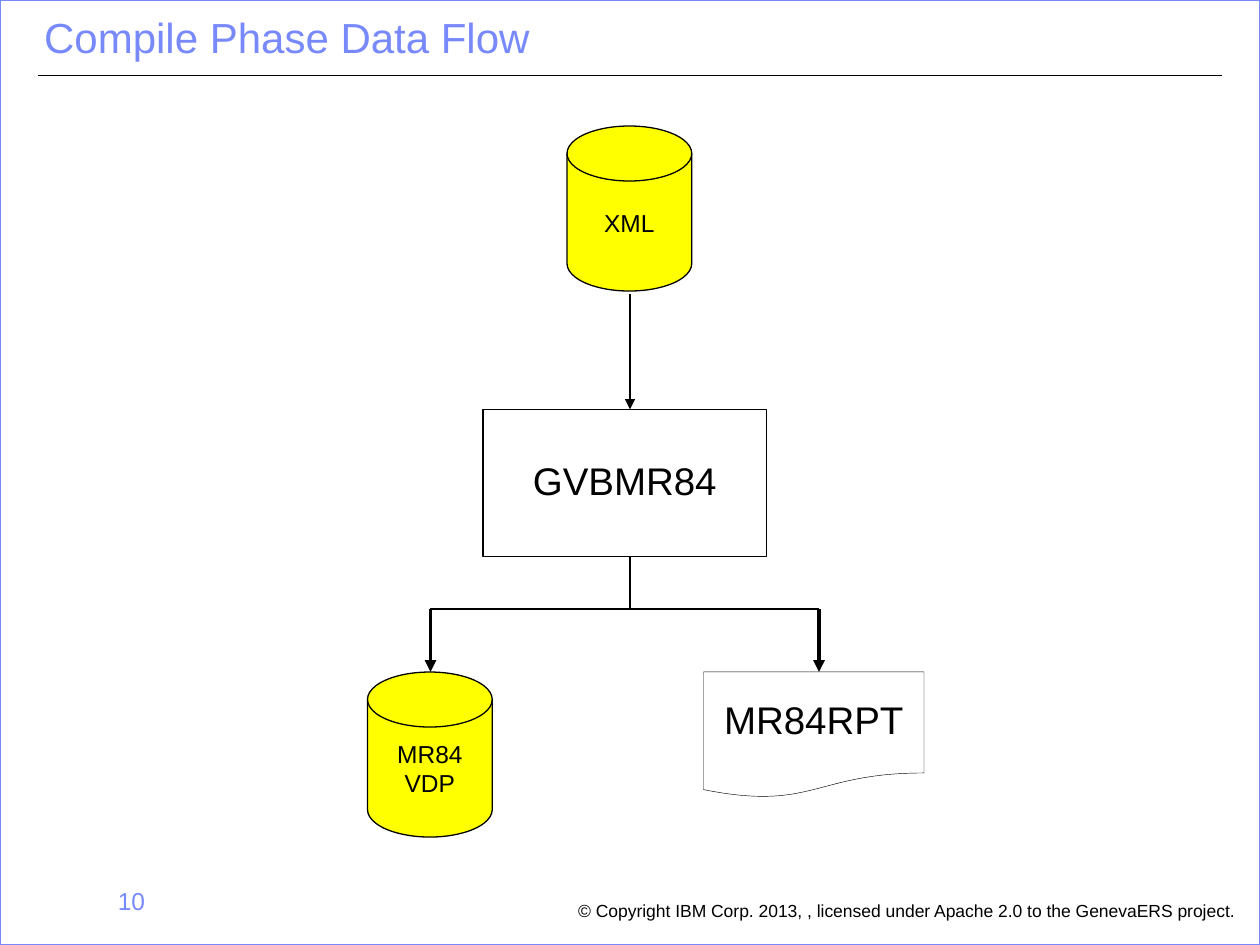
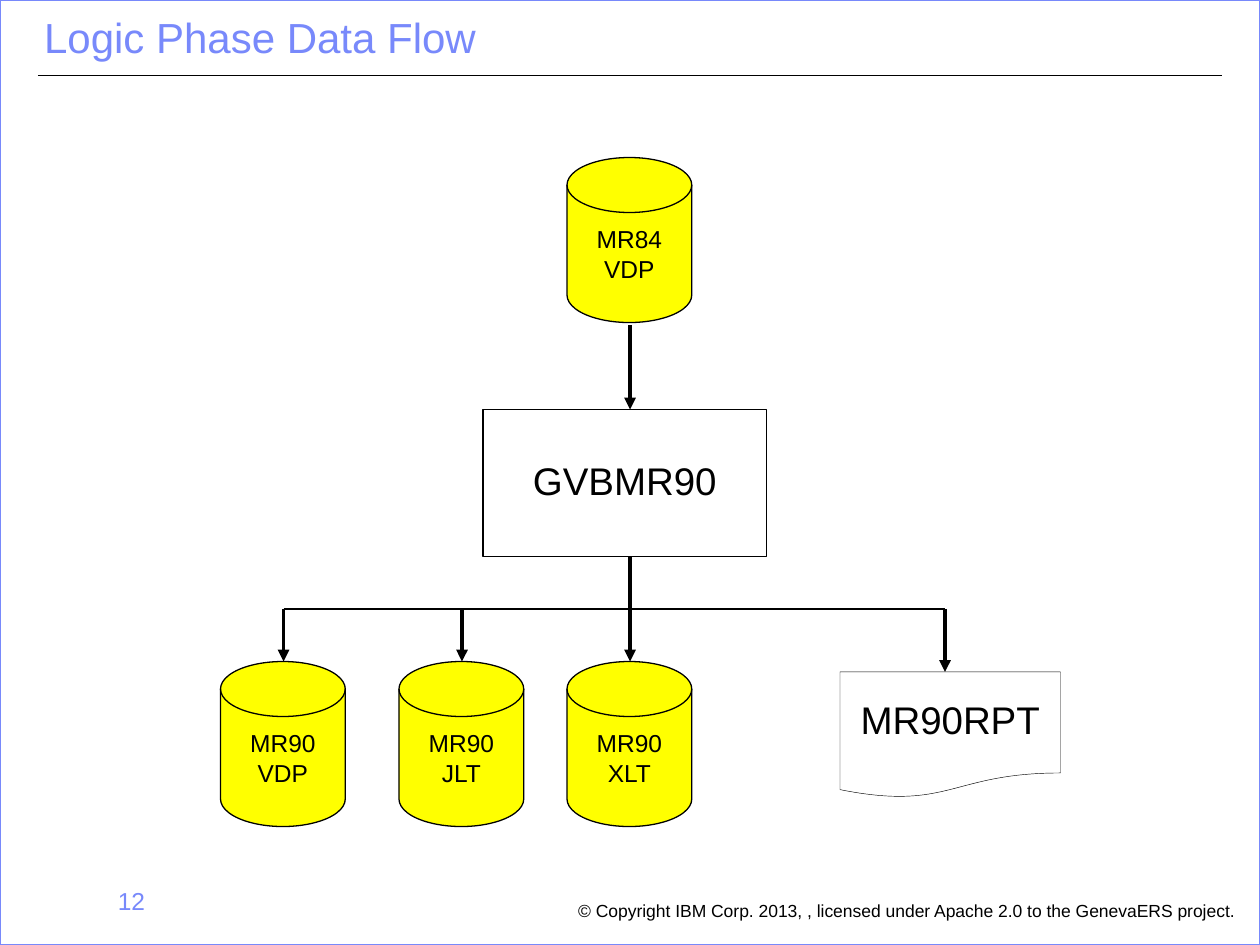
from dataclasses import dataclass

from lxml import etree
from pptx import Presentation
from pptx.dml.color import RGBColor
from pptx.enum.shapes import MSO_CONNECTOR, MSO_SHAPE
from pptx.enum.text import MSO_ANCHOR, MSO_AUTO_SIZE, PP_ALIGN
from pptx.oxml.ns import qn
from pptx.util import Pt

STRAIGHT = MSO_CONNECTOR.STRAIGHT
RECTANGLE = MSO_SHAPE.RECTANGLE
DISK = MSO_SHAPE.FLOWCHART_MAGNETIC_DISK
DOCUMENT = MSO_SHAPE.FLOWCHART_DOCUMENT
MIDDLE, BOTTOM = MSO_ANCHOR.MIDDLE, MSO_ANCHOR.BOTTOM
LEFT, CENTER, RIGHT = PP_ALIGN.LEFT, PP_ALIGN.CENTER, PP_ALIGN.RIGHT
NO_FIT, GROW = MSO_AUTO_SIZE.NONE, MSO_AUTO_SIZE.SHAPE_TO_FIT_TEXT
TITLE_ONLY = 5


@dataclass(frozen=True)
class Theme:
    font: str = "Arial"
    accent: RGBColor = RGBColor(0x78, 0x89, 0xFB)
    ink: RGBColor = RGBColor(0, 0, 0)
    data: RGBColor = RGBColor(0xFF, 0xFF, 0)
    title_size: float = 24
    program_size: float = 22
    data_size: float = 14
    number_size: float = 14
    copyright_size: float = 10
    tight: float = 0.9
    hairline: float = 0.25
    thin: float = 0.75
    frame: float = 1
    thick: float = 2.25


THEME = Theme()

# Page and diagram geometry, in points
PAGE = (0, 0, 720, 540)
DISK_SIZE = (71.3, 94.3)
REPORT_SIZE = (126, 72)
PROGRAM_BOX = (276, 234, 162, 84)
SPINE_X = 360
BUS_Y = 348
REPORT_TOP = 384
SOURCE_GAP = 1.5  # between the source disk and its arrow

COPYRIGHT = ("© Copyright IBM Corp. 2013, , licensed under Apache 2.0 "
             "to the GenevaERS project.")


def points(box):
    return [Pt(value) for value in box]


def write(shape, text, size, color=THEME.ink, align=LEFT, spacing=None):
    shape.text_frame.text = text
    for para in shape.text_frame.paragraphs:
        para.alignment = align
        para.line_spacing = spacing
        for span in para.runs:
            span.font.name = THEME.font
            span.font.size = Pt(size)
            span.font.color.rgb = color


def add_node(page, kind, box, line_width, line_color=THEME.ink, fill=None):
    node = page.shapes.add_shape(kind, *points(box))
    node.shadow.inherit = False
    if fill is None:
        node.fill.background()
    else:
        node.fill.solid()
        node.fill.fore_color.rgb = fill
    node.line.color.rgb = line_color
    node.line.width = Pt(line_width)
    return node


def label(node, text, size, spacing=None):
    write(node, text, size, align=CENTER, spacing=spacing)
    node.text_frame.word_wrap = False
    node.text_frame.vertical_anchor = MIDDLE


def add_line(page, start, end, width=THEME.thin, arrow=False):
    line = page.shapes.add_connector(STRAIGHT, *points(start + end))
    line.line.color.rgb = THEME.ink
    line.line.width = Pt(width)
    if arrow:
        etree.SubElement(line.line._get_or_add_ln(), qn("a:tailEnd"), type="triangle")
    etree.SubElement(line._element.spPr, qn("a:effectLst"))


def add_disk(page, left, top, text):
    disk = add_node(page, DISK, (left, top, *DISK_SIZE), THEME.thin, fill=THEME.data)
    label(disk, text, THEME.data_size)


def add_report(page, left, top, text):
    report = add_node(page, DOCUMENT, (left, top, *REPORT_SIZE), THEME.hairline)
    label(report, text, THEME.program_size, THEME.tight)


def add_program(page, box, text):
    program = add_node(page, RECTANGLE, box, THEME.thin)
    label(program, text, THEME.program_size, THEME.tight)


def add_page_furniture(page, box, title, number):
    left, top, width, height = box
    # Frame and rule under the title
    add_node(page, RECTANGLE, box, THEME.frame, THEME.accent)
    add_line(page, (left + 21.6, top + 43.2), (left + width - 21.6, top + 43.2))

    # Title
    heading = page.shapes.title
    heading.left, heading.top, heading.width, heading.height = points(
        (left + 18, top, 564, 39.6))
    write(heading, title, THEME.title_size, THEME.accent, spacing=THEME.tight)
    heading.text_frame.auto_size = NO_FIT
    heading.text_frame.vertical_anchor = BOTTOM

    # Page number and copyright line
    number_box = page.shapes.add_textbox(
        *points((left + 18, top + height - 37.5, 72, 37.5)))
    number_box.text_frame.word_wrap = True
    write(number_box, number, THEME.number_size, THEME.accent, RIGHT)
    notice = page.shapes.add_textbox(
        *points((left + 323.3, top + height - 28, 392.4, 18)))
    notice.text_frame.word_wrap = False
    notice.text_frame.auto_size = GROW
    write(notice, COPYRIGHT, THEME.copyright_size, spacing=THEME.tight)


def add_flow(page, box, source, source_top, source_width, program,
             disks, disk_top, report, stem_width, stem_arrow):
    """disks: (left, text) pairs; report: (left, arrow x, text)."""
    left, top, width, height = box
    bottom = top + height
    radius = 36
    # Source feeding the program
    add_disk(page, SPINE_X - radius, source_top, source)
    add_line(page, (SPINE_X, source_top + DISK_SIZE[1] + SOURCE_GAP),
             (SPINE_X, top), source_width, arrow=True)
    add_program(page, box, program)

    # Outputs
    report_left, report_x, report_text = report
    add_report(page, report_left, REPORT_TOP, report_text)
    for disk_left, text in disks:
        add_disk(page, disk_left, disk_top, text)

    # Stem, bus and drops; a disk below the stem is reached by the stem itself
    stem_end = disk_top if stem_arrow else BUS_Y
    add_line(page, (SPINE_X, bottom), (SPINE_X, stem_end), stem_width, stem_arrow)
    drops = [(disk_left + radius, disk_top) for disk_left, _ in disks
             if disk_left + radius != SPINE_X] + [(report_x, REPORT_TOP)]
    add_line(page, (drops[0][0], BUS_Y), (report_x, BUS_Y))
    for x, end in drops:
        add_line(page, (x, BUS_Y), (x, end), THEME.thick, arrow=True)


def add_slide(deck, title, number, **flow):
    page = deck.slides.add_slide(deck.slide_layouts[TITLE_ONLY])
    add_page_furniture(page, PAGE, title, number)
    add_flow(page, PROGRAM_BOX, **flow)


def main():
    deck = Presentation()
    deck.slide_width, deck.slide_height = points(PAGE[2:])

    add_slide(deck, "Compile Phase Data Flow", "10",
              source="XML", source_top=72, source_width=THEME.thin,
              program="GVBMR84",
              disks=[(210, "MR84\nVDP")], disk_top=384,
              report=(402, 468, "MR84RPT"),
              stem_width=THEME.thin, stem_arrow=False)
    add_slide(deck, "Logic Phase Data Flow", "12",
              source="MR84\nVDP", source_top=90, source_width=THEME.thick,
              program="GVBMR90",
              disks=[(126, "MR90\nVDP"), (228, "MR90\nJLT"), (324, "MR90\nXLT")],
              disk_top=378,
              report=(480, 540, "MR90RPT"),
              stem_width=THEME.thick, stem_arrow=True)

    deck.save("out.pptx")


if __name__ == "__main__":
    main()
